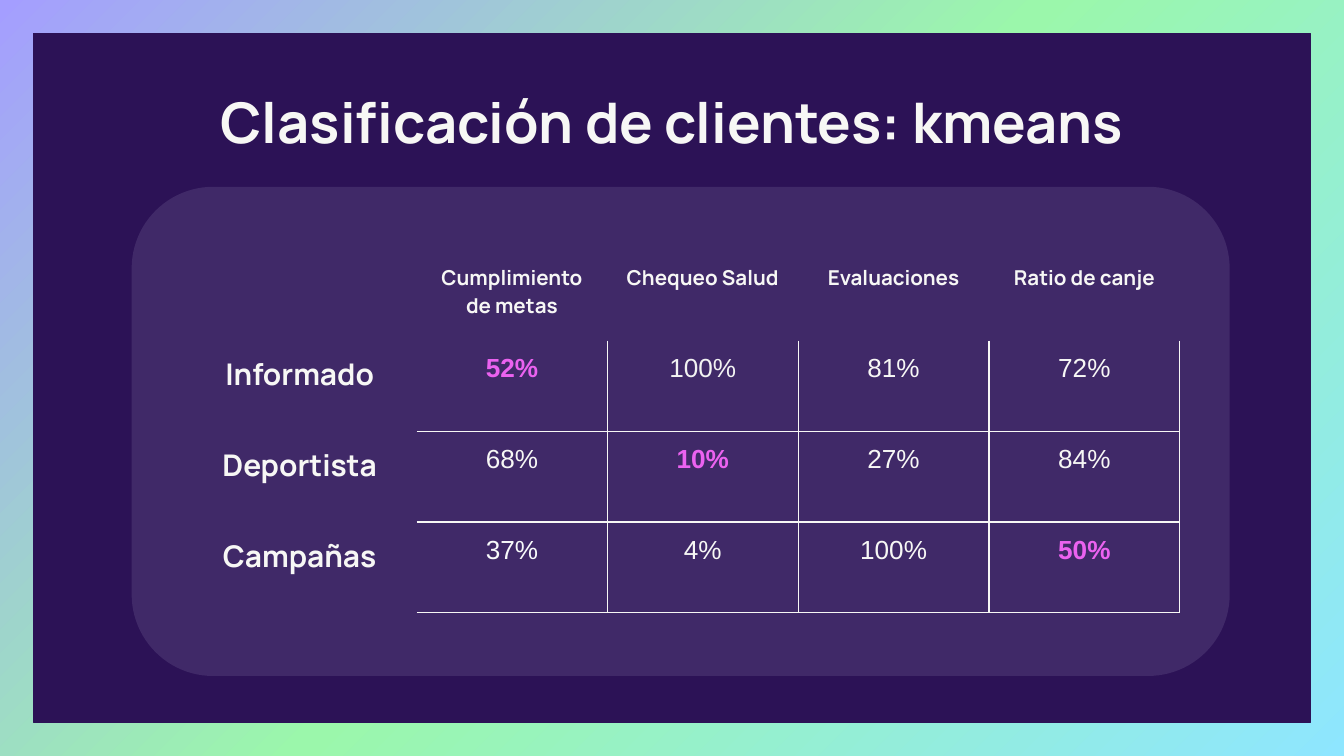
"""Build the slide with the k-means customer classification table."""
from copy import deepcopy

from lxml import etree
from pptx import Presentation
from pptx import util as u
from pptx.dml.color import RGBColor
from pptx.enum import shapes, text
from pptx.oxml import ns

LIGHT, PINK = "F7F7F5", "EB62F0"


def rgb(value):
    return RGBColor.from_string(value)


def write(holder, line, words, font, size, bold, color=LIGHT):
    holder.margin_left = holder.margin_right = u.Inches(0.1)
    holder.margin_top = holder.margin_bottom = u.Inches(0.1)
    line.text = words
    line.alignment = text.PP_ALIGN.CENTER
    line.font.name, line.font.size, line.font.bold = font, u.Pt(size), bold
    line.font.color.rgb = rgb(color)


deck = Presentation()
deck.slide_width = u.Inches(10)
deck.slide_height = deck.slide_width * 9 // 16
slide = deck.slides.add_slide(deck.slide_layouts[6])

backdrop = slide.background.fill
backdrop.gradient()
backdrop.gradient_angle = 315
first_stop = backdrop.gradient_stops[0]._gs
first_stop.addnext(deepcopy(first_stop))
for stop, position, color in zip(backdrop.gradient_stops, (0, 0.5, 1), ("A49EFF", "9BF7AB", "8EE6FF")):
    stop.position = position
    stop.color.rgb = rgb(color)

margin = u.Inches(0.25)
frame_box = margin, margin, deck.slide_width - 2 * margin, deck.slide_height - 2 * margin
card_box = map(u.Inches, (0.98, 1.39, 8.17, 3.64))
for kind, box, color in (
    (shapes.MSO_SHAPE.RECTANGLE, frame_box, "2C1256"),
    (shapes.MSO_SHAPE.ROUNDED_RECTANGLE, card_box, "402968"),
):
    panel = slide.shapes.add_shape(kind, *box)
    panel.shadow.inherit = False
    panel.fill.solid()
    panel.fill.fore_color.rgb = rgb(color)
    if kind == shapes.MSO_SHAPE.RECTANGLE:
        panel.line.color.rgb = rgb(color)
        panel.line.width = u.Pt(0.75)
    else:
        panel.line.fill.background()

title = slide.shapes.add_textbox(*map(u.Inches, (0.79, 0.59, 8.42, 0.62))).text_frame
title.word_wrap = True
title.vertical_anchor = text.MSO_ANCHOR.MIDDLE
write(title, title.paragraphs[0], "Clasificación de clientes: kmeans", "Manrope", 30, True)

rows = [
    ["", "Cumplimiento de metas", "Chequeo Salud", "Evaluaciones", "Ratio de canje"],
    ["Informado", "52%", "100%", "81%", "72%"],
    ["Deportista", "68%", "10%", "27%", "84%"],
    ["Campañas", "37%", "4%", "100%", "50%"],
]
highlights = {(1, 1), (2, 2), (3, 4)}
tints = {(1, 2): "F2F2F2", (3, 1): "F8FAFB"}

clusters = slide.shapes.add_table(4, 5, *map(u.Inches, (1.36, 1.86, 7.42, 2.7))).table
clusters.first_row = clusters.horz_banding = False
no_style = "{2D5ABB26-0587-4C30-8999-92F81FD0307C}"
clusters._tbl.tblPr.find(ns.qn("a:tableStyleId")).text = no_style
for column, width in zip(clusters.columns, [1.74] + [1.42] * 4):
    column.width = u.Inches(width)

for r, row in enumerate(rows):
    for c, words in enumerate(row):
        cell = clusters.cell(r, c)
        line = cell.text_frame.paragraphs[0]
        if r and c:
            marked = (r, c) in highlights
            color = PINK if marked else tints.get((r, c), LIGHT)
            write(cell, line, words, "Arial", 14, marked, color)
            sides = ["lnL"] * (c > 1) + ["lnR"] + ["lnT"] * (r > 1) + ["lnB"]
            for side in sides:
                border = etree.SubElement(cell._tc.get_or_add_tcPr(), ns.qn(f"a:{side}"), w=str(u.Pt(0.75)))
                solid = etree.SubElement(border, ns.qn("a:solidFill"))
                etree.SubElement(solid, ns.qn("a:srgbClr"), val=LIGHT)
        elif words:
            write(cell, line, words, "Manrope", 16 if r else 11, True)
        cell.fill.background()

deck.save("out.pptx")
